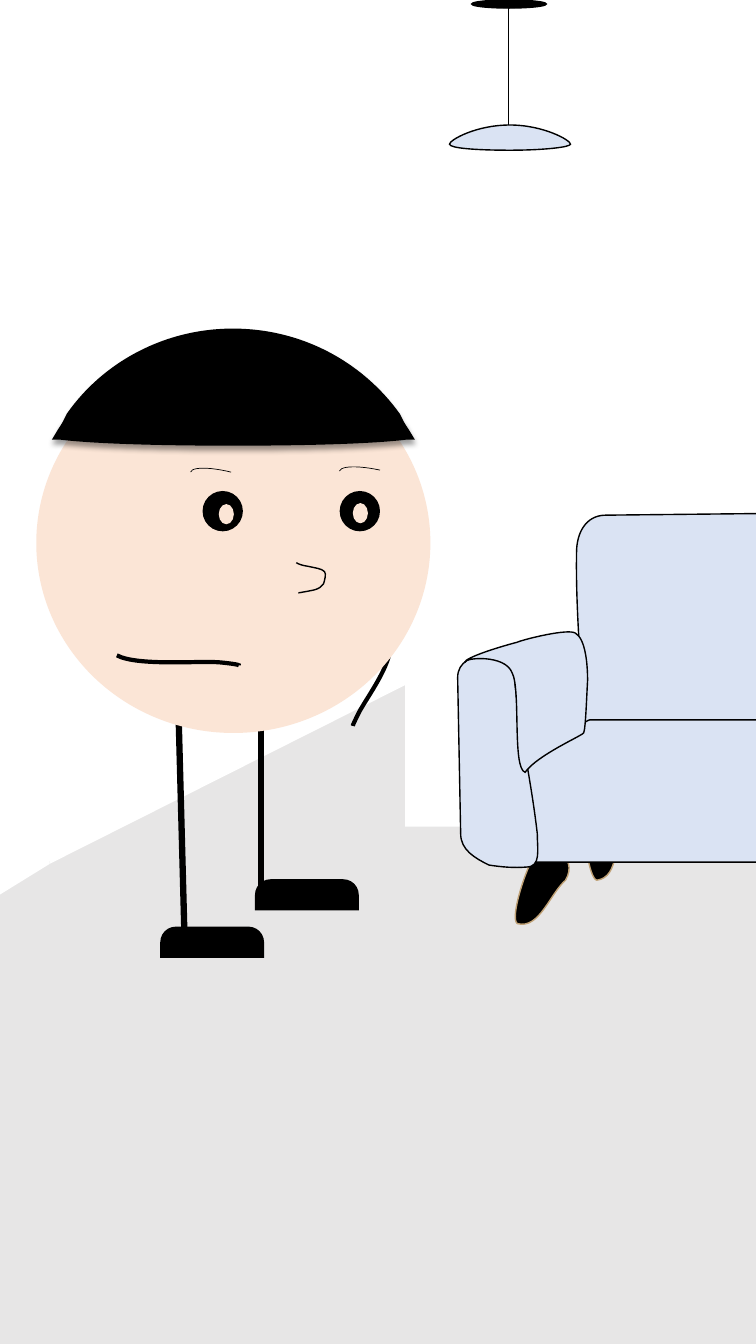
from math import cos, radians, sin

from lxml.etree import SubElement
from pptx import Presentation
from pptx.dml.color import RGBColor
from pptx.enum.shapes import MSO_CONNECTOR, MSO_SHAPE
from pptx.oxml.ns import qn
from pptx.util import Cm, Pt

COLORS = {"floor": "E7E6E6", "wall": "FFFFFF", "ink": "000000",
          "skin": "FBE5D6", "sofa": "DAE3F3", "tan": "C0A175"}


def inch(size):
    return Cm(size * 2.54)


def local(box, turn, x, y):
    left, top, width, height = box
    angle = radians(-turn)
    x, y = x - left - width / 2, y - top - height / 2
    return (inch(x * cos(angle) - y * sin(angle) + width / 2),
            inch(x * sin(angle) + y * cos(angle) + height / 2))


class Scene:
    def __init__(self, slide, colors):
        self.slide = slide
        self.shapes = slide.shapes
        self.colors = colors

    def rgb(self, name):
        return RGBColor.from_string(self.colors[name])

    def paper(self, name):
        fill = self.slide.background.fill
        fill.solid()
        fill.fore_color.rgb = self.rgb(name)

    def stroke(self, line, name, width):
        line.color.rgb = self.rgb(name)
        line.width = Pt(width)

    def paint(self, shape, fill, line, width):
        shape.shadow.inherit = False
        if fill:
            shape.fill.solid()
            shape.fill.fore_color.rgb = self.rgb(fill)
        else:
            shape.fill.background()
        if line:
            self.stroke(shape.line, line, width)
            SubElement(shape.element.spPr.find(qn("a:ln")), qn("a:miter"), lim="800000")
        else:
            shape.line.fill.background()
        return shape

    def preset(self, kind, box, fill=None, line=None, width=1):
        shape = self.shapes.add_shape(kind, *map(inch, box))
        return self.paint(shape, fill, line, width)

    def oval(self, box, fill, line=None):
        return self.preset(MSO_SHAPE.OVAL, box, fill, line)

    def shoe(self, left, top):
        shape = self.preset(MSO_SHAPE.ROUND_2_SAME_RECTANGLE, (left, top, 1.03, 0.31), "ink")
        shape.adjustments[0] = 0.5

    def brow(self, left, top, turn):
        shape = self.preset(MSO_SHAPE.ARC, (left, top, 0.78, 0.19), line="ink", width=0.5)
        shape.element.spPr.xfrm.set("flipH", "1")
        shape.rotation = turn

    def line(self, start, end, width):
        link = self.shapes.add_connector(MSO_CONNECTOR.STRAIGHT, *map(inch, start + end))
        self.stroke(link.line, "ink", width)
        SubElement(link.element.spPr, qn("a:effectLst"))

    def free(self, box, steps, fill=None, line=None, width=1, turn=0):
        form = self.shapes.build_freeform(0, 0)
        form.add_line_segments([(inch(box[2]), inch(box[3]))], close=False)
        shape = form.convert_to_shape()
        shape.left, shape.top, shape.width, shape.height = map(inch, box)
        shape.rotation = turn
        track = next(shape.element.iter(qn("a:path")))
        for old in list(track):
            track.remove(old)
        track.set("w", str(shape.width))
        track.set("h", str(shape.height))
        for i, step in enumerate(steps):
            kind = "cubicBezTo" if len(step) == 6 else "lnTo" if i else "moveTo"
            node = SubElement(track, qn("a:" + kind))
            for x, y in zip(step[::2], step[1::2]):
                px, py = local(box, turn, x, y)
                SubElement(node, qn("a:pt"), x=str(px), y=str(py))
        if fill:
            SubElement(track, qn("a:close"))
        return self.paint(shape, fill, line, width)

    def hair(self, box, steps):
        shape = self.free(box, steps, "ink", "ink", 4.5)
        glow = shape.element.spPr.find(qn("a:effectLst"))
        shade = SubElement(glow, qn("a:outerShdw"), blurRad=str(Pt(4)), dist=str(Pt(3)),
                           dir="5400000", algn="t", rotWithShape="0")
        tone = SubElement(shade, qn("a:srgbClr"), val=self.colors["ink"])
        SubElement(tone, qn("a:alpha"), val="40000")


def room(scene):
    scene.preset(MSO_SHAPE.RECTANGLE, (4.02, -0.45, 5.06, 8.65), "wall")
    scene.free((0.28, -0.07, 3.97, 8.63), [
        (0.28, -0.07), (4.13, 0), (4.25, 6.68), (0.49, 8.57), (0.28, -0.07)], "wall")
    scene.free((-4.44, -0.18, 4.93, 11.79), [
        (-4.44, -0.15), (0.4, -0.18), (0.49, 8.57), (-4.44, 11.61), (-4.44, -0.15)], "wall")


def person(scene):
    scene.free((3.37, 5.88, 0.54, 1.28), [
        (3.67, 5.86), (3.78, 6.05, 3.89, 6.24, 3.87, 6.44),
        (3.85, 6.65, 3.61, 6.96, 3.55, 7.09), (3.49, 7.21, 3.5, 7.2, 3.5, 7.2),
        (3.5, 7.2)], line="ink", width=3, turn=348.4)
    scene.line((2.59, 6.49), (2.59, 8.95), 4.5)
    scene.line((1.77, 7.02), (1.83, 9.28), 4.5)
    scene.oval((0.36, 3.5, 3.91, 3.77), "skin")
    scene.oval((3.37, 4.87, 0.4, 0.4), "ink")
    scene.shoe(1.59, 9.19)
    scene.shoe(2.53, 8.72)
    scene.free((1.28, 6.17, 0.96, 0.75), [
        (1.16, 6.5), (1.37, 6.61, 1.99, 6.55, 2.19, 6.57),
        (2.39, 6.59, 2.37, 6.6, 2.37, 6.6), (2.37, 6.6)], line="ink", width=3, turn=326.6)
    scene.free((2.94, 5.57, 0.28, 0.29), [
        (2.94, 5.58), (2.95, 5.59, 2.96, 5.59, 2.98, 5.6),
        (3, 5.61, 3.03, 5.61, 3.07, 5.62), (3.11, 5.63, 3.2, 5.64, 3.22, 5.67),
        (3.24, 5.69, 3.22, 5.76, 3.21, 5.79), (3.19, 5.82, 3.16, 5.84, 3.12, 5.85),
        (3.08, 5.86, 3.02, 5.87, 2.96, 5.88)], line="ink", turn=352.6)
    scene.oval((2.01, 4.87, 0.4, 0.4), "ink")
    scene.oval((3.5, 4.99, 0.15, 0.2), "skin")
    scene.oval((2.17, 5, 0.15, 0.2), "skin")
    scene.hair((0.57, 4.16, 3.49, 0.23), [
        (2.31, 4.16), (2.99, 4.16, 3.58, 4.18, 3.94, 4.21), (3.99, 4.22),
        (4.03, 4.28), (4.06, 4.33), (4.03, 4.33),
        (3.7, 4.37, 3.06, 4.39, 2.31, 4.39), (1.57, 4.39, 0.93, 4.37, 0.6, 4.33),
        (0.57, 4.33), (0.6, 4.28), (0.64, 4.22), (0.69, 4.21),
        (1.04, 4.18, 1.64, 4.16, 2.31, 4.16)])
    scene.hair((0.64, 3.29, 3.36, 0.92), [
        (2.31, 3.29), (2.99, 3.29, 3.58, 3.62, 3.94, 4.12), (3.99, 4.22),
        (3.94, 4.21), (3.58, 4.18, 2.99, 4.16, 2.31, 4.16),
        (1.64, 4.16, 1.04, 4.18, 0.69, 4.21), (0.64, 4.22), (0.69, 4.12),
        (1.04, 3.62, 1.64, 3.29, 2.31, 3.29)])
    scene.free((1.49, 4.09, 0.28, 0.11), [
        (1.49, 4.09), (1.53, 4.09), (1.68, 4.11, 1.76, 4.13, 1.76, 4.15),
        (1.76, 4.16, 1.71, 4.18, 1.61, 4.19), (1.55, 4.2), (1.53, 4.15),
        (1.49, 4.09)], "ink")
    scene.brow(3.36, 4.66, 12.4)
    scene.brow(1.88, 4.68, 13.9)


def lamp(scene):
    scene.oval((4.68, 0, 0.74, 0.08), "ink", "ink")
    scene.line((5.04, 0.04), (5.04, 1.24), 0.5)
    scene.free((4.46, 1.24, 1.2, 0.24), [
        (4.46, 1.43), (4.46, 1.39, 4.72, 1.24, 5.06, 1.24),
        (5.39, 1.24, 5.66, 1.39, 5.66, 1.43), (5.66, 1.46, 5.39, 1.49, 5.06, 1.49),
        (4.72, 1.49, 4.46, 1.47, 4.46, 1.43)], "sofa", "ink")


def sofa(scene):
    scene.free((4.93, 8.61, 0.81, 0.39), [
        (5.55, 8.46), (5.45, 8.4, 5.33, 8.43, 5.28, 8.53),
        (5.21, 8.64, 5.06, 9.1, 5.13, 9.16), (5.35, 9.22, 5.45, 8.87, 5.61, 8.73),
        (5.68, 8.61, 5.64, 8.51, 5.55, 8.46)], "ink", "tan", turn=301)
    scene.free((5.56, 8.13, 0.81, 0.39), [
        (6.01, 7.92), (5.9, 7.91, 5.8, 7.99, 5.79, 8.1),
        (5.78, 8.23, 5.84, 8.71, 5.92, 8.73), (6.15, 8.7, 6.09, 8.34, 6.18, 8.14),
        (6.2, 8, 6.11, 7.93, 6.01, 7.92)], "ink", "tan", turn=275.9)
    scene.free((5.72, 5.08, 6.24, 2.5), [
        (5.72, 5.48), (5.72, 5.29, 5.81, 5.11, 6.01, 5.11), (8.83, 5.08),
        (11.61, 5.11), (11.8, 5.11, 11.96, 5.26, 11.96, 5.46), (11.96, 7.22),
        (11.96, 7.41, 11.8, 7.57, 11.61, 7.57), (6.01, 7.57),
        (5.81, 7.57, 5.79, 7.41, 5.79, 7.22),
        (5.77, 6.64, 5.71, 6.06, 5.72, 5.48)], "sofa", "ink")
    scene.free((5, 7.14, 7.68, 1.41), [
        (5.85, 7.14), (11.84, 7.14), (11.88, 7.14, 12.34, 7.45, 12.45, 7.56),
        (12.46, 7.59), (12.49, 7.59), (12.61, 7.64, 12.68, 7.75, 12.68, 7.88),
        (12.68, 8.24), (12.68, 8.41, 12.54, 8.55, 12.37, 8.55), (5.31, 8.55),
        (5.14, 8.55, 5, 8.41, 5, 8.24), (5, 7.88), (5, 7.75, 5.08, 7.64, 5.19, 7.59),
        (5.24, 7.58), (5.25, 7.57), (5.39, 7.46, 5.81, 7.14, 5.85, 7.14)], "sofa", "ink")
    scene.free((4.54, 6.5, 0.79, 2.11), [
        (5.11, 6.79), (5.11, 6.63, 4.99, 6.5, 4.84, 6.5), (4.84, 6.5),
        (4.69, 6.5, 4.54, 6.56, 4.54, 6.72), (4.57, 8.27),
        (4.57, 8.43, 4.71, 8.51, 4.85, 8.58), (4.98, 8.6, 5.1, 8.61, 5.22, 8.6),
        (5.37, 8.6, 5.33, 8.43, 5.33, 8.27),
        (5.27, 7.74, 5.16, 7.28, 5.11, 6.79)], "sofa", "ink")
    scene.free((4.68, 6.32, 1.2, 1.32), [
        (5.79, 7.27), (5.81, 7.24, 5.82, 6.92, 5.83, 6.75),
        (5.83, 6.59, 5.81, 6.34, 5.71, 6.28), (5.64, 6.23, 5.2, 6.34, 5.13, 6.37),
        (4.94, 6.42, 4.62, 6.52, 4.61, 6.57), (4.61, 6.52, 5.01, 6.49, 5.08, 6.67),
        (5.17, 6.83, 5.08, 7.62, 5.21, 7.66),
        (5.33, 7.49, 5.77, 7.3, 5.79, 7.27)], "sofa", "ink", turn=350.9)


def main():
    deck = Presentation()
    deck.slide_width, deck.slide_height = inch(7.5), inch(13.33)
    scene = Scene(deck.slides.add_slide(deck.slide_layouts[6]), COLORS)
    scene.paper("floor")
    for draw in (room, person, lamp, sofa):
        draw(scene)
    deck.save("out.pptx")


if __name__ == "__main__":
    main()
